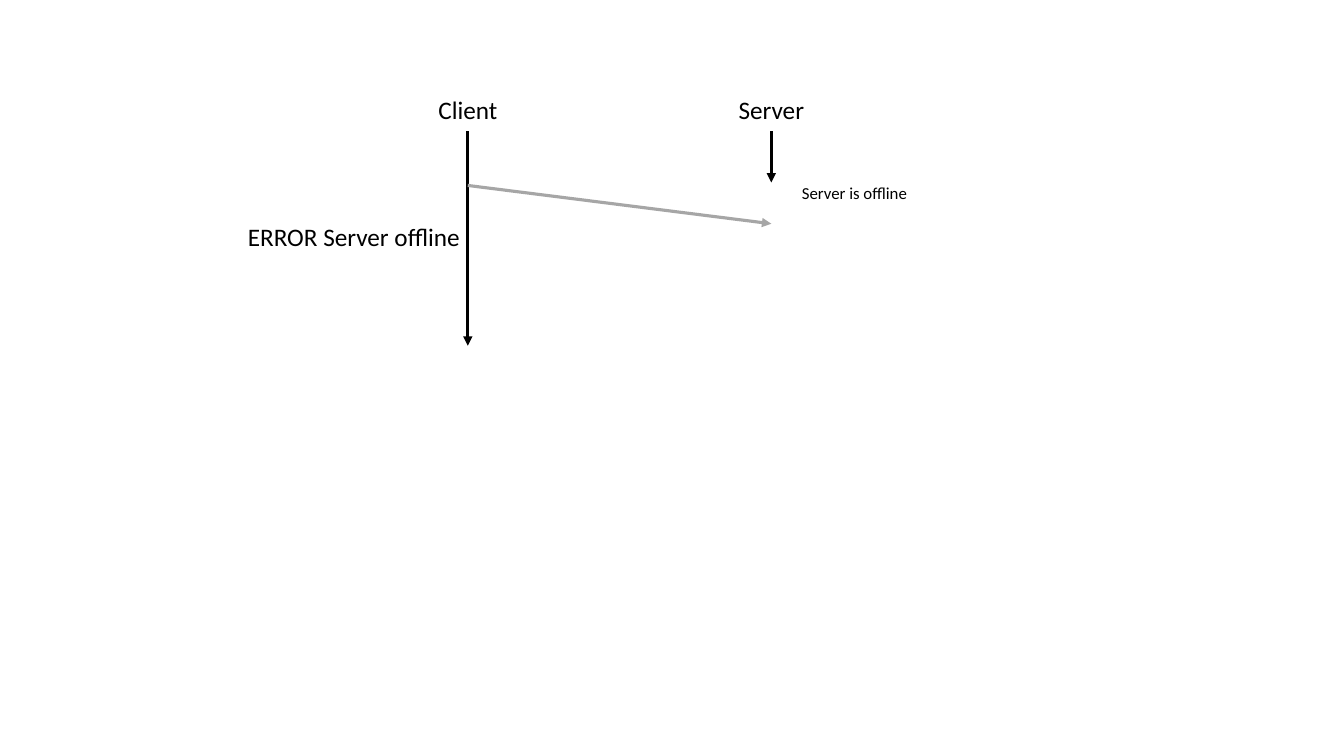
from dataclasses import dataclass

from lxml import etree
from pptx import Presentation
from pptx.dml.color import RGBColor
from pptx.enum.shapes import MSO_CONNECTOR
from pptx.enum.text import PP_ALIGN
from pptx.oxml.ns import qn
from pptx.util import Inches, Pt

STRAIGHT = MSO_CONNECTOR.STRAIGHT
LEFT, CENTER = PP_ALIGN.LEFT, PP_ALIGN.CENTER
BOTTOM_SIDE = 2


@dataclass(frozen=True)
class Theme:
    """Colours, font and sizes of the sequence diagram."""

    font: str = "Calibri"
    ink: RGBColor = RGBColor(0x00, 0x00, 0x00)
    request: RGBColor = RGBColor(0xA6, 0xA6, 0xA6)
    label_size: Pt = Pt(18)
    note_size: Pt = Pt(12)
    line_width: Pt = Pt(2.25)


THEME = Theme()


def add_label(slide, text, left, top, width, height, size=THEME.label_size, align=CENTER):
    """Add a one-line text label."""
    label = slide.shapes.add_textbox(Inches(left), Inches(top), Inches(width), Inches(height))
    frame = label.text_frame
    frame.word_wrap = True
    frame.text = text
    paragraph = frame.paragraphs[0]
    paragraph.alignment = align
    font = paragraph.runs[0].font
    font.name = THEME.font
    font.size = size
    font.color.rgb = THEME.ink
    return label


def add_arrow(slide, start, end, color):
    """Add a straight line with a triangular head at its end."""
    arrow = slide.shapes.add_connector(STRAIGHT, *map(Inches, (*start, *end)))
    arrow.line.color.rgb = color
    arrow.line.width = THEME.line_width
    etree.SubElement(arrow.line._get_or_add_ln(), qn("a:tailEnd"), type="triangle")
    etree.SubElement(arrow._element.spPr, qn("a:effectLst"))
    return arrow


def add_participant(slide, name, center, width, lifeline_end):
    """Add a participant's name with its lifeline below."""
    top, height = 0.89, 0.41
    heading = add_label(slide, name, center - width / 2, top, width, height)
    lifeline = add_arrow(slide, (center, top + height), (center, lifeline_end), THEME.ink)
    lifeline.begin_connect(heading, BOTTOM_SIDE)


def main():
    """Build the slide and save it."""
    deck = Presentation()
    deck.slide_width, deck.slide_height = Inches(13.33), Inches(7.5)
    slide = deck.slides.add_slide(deck.slide_layouts[6])

    client_x, server_x = 4.64, 7.65
    add_participant(slide, "Client", client_x, 0.92, 3.43)
    add_participant(slide, "Server", server_x, 1.12, 1.81)
    add_arrow(slide, (client_x, 1.84), (server_x, 2.22), THEME.request)
    add_label(slide, "ERROR Server offline", 2.36, 2.15, 2.43, 0.71, align=LEFT)
    add_label(slide, "Server is offline", server_x, 1.76, 1.65, 0.3, THEME.note_size)

    deck.save("out.pptx")


if __name__ == "__main__":
    main()
